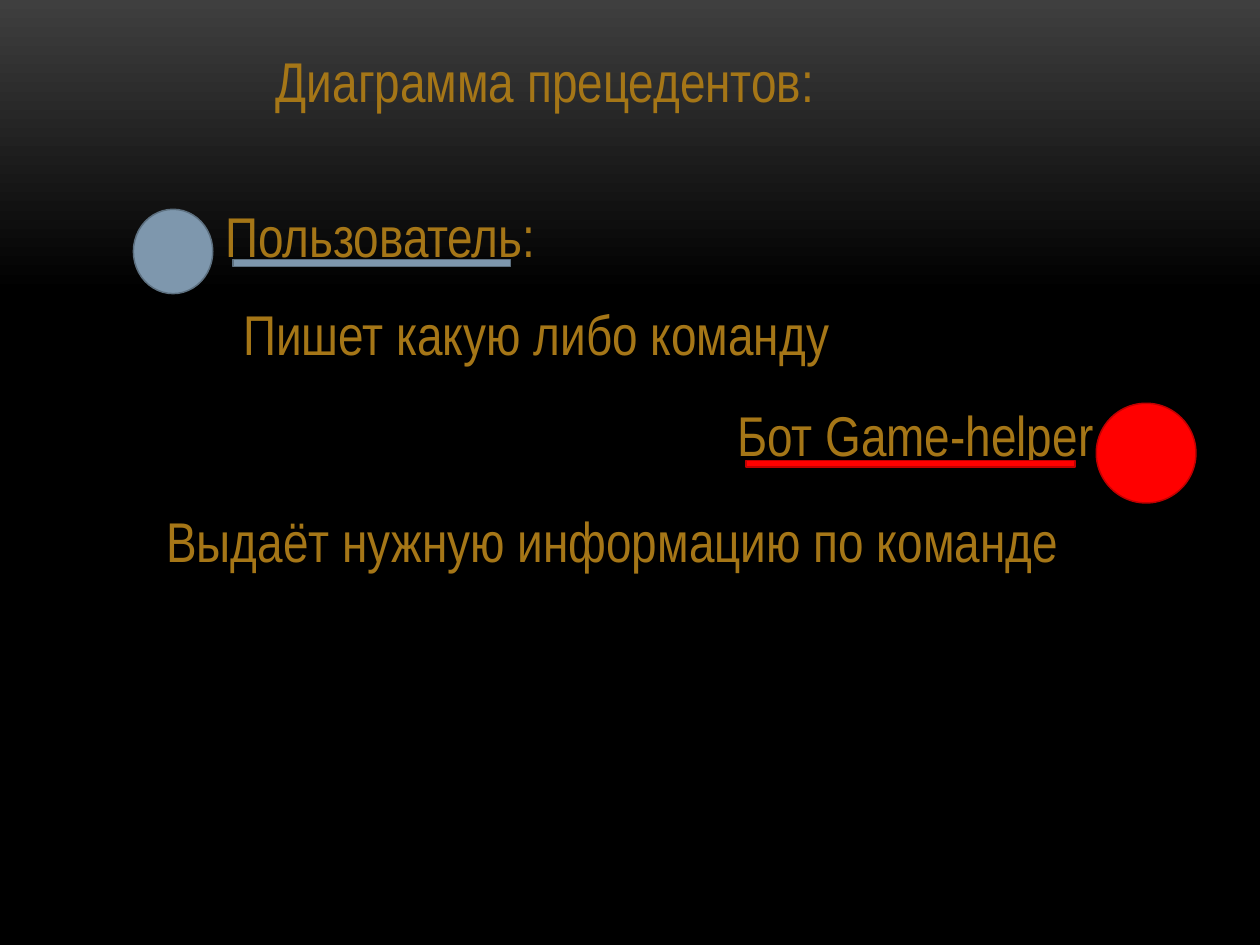
"""Build the use-case slide showing a user and a helper bot."""
from dataclasses import dataclass

import pptx
import pptx.dml.color
import pptx.enum.shapes
import pptx.enum.text
import pptx.slide
import pptx.util

Cm = pptx.util.Cm
Pt = pptx.util.Pt
RGB = pptx.dml.color.RGBColor
Preset = pptx.enum.shapes.MSO_SHAPE


@dataclass(frozen=True)
class Theme:
    font: str = "Arial Narrow"
    text_size: float = 32
    outline: float = 0.85
    text: str = "A57617"
    backdrop_top: str = "3F3F3F"
    backdrop: str = "000000"
    user: tuple[str, str] = ("7E97AD", "5D7080")
    bot: tuple[str, str] = ("FF0000", "C00000")


@dataclass(frozen=True)
class Caption:
    text: str
    left: float
    top: float
    width: float
    wrap: bool = False
    height: float = 1.63


@dataclass(frozen=True)
class Mark:
    preset: Preset
    colors: tuple[str, str]
    left: float
    top: float
    width: float
    height: float


THEME = Theme()
ELEMENTS: list[Caption | Mark] = [
    Caption("Диаграмма прецедентов:", 5.31, 0.81, 18.01, wrap=True),
    Caption("Пользователь:", 4.29, 3.94, 6.93),
    Mark(Preset.OVAL, THEME.user, 2.69, 4.22, 1.6, 1.7),
    Mark(Preset.RECTANGLE, THEME.user, 4.7, 5.23, 5.59, 0.14),
    Caption("Пишет какую либо команду", 4.65, 5.92, 12.67),
    Mark(Preset.OVAL, THEME.bot, 22.1, 8.13, 2.01, 2.01),
    Caption("Бот Game-helper", 14.61, 7.95, 7.75),
    Mark(Preset.RECTANGLE, THEME.bot, 15.04, 9.28, 6.63, 0.14),
    Caption("Выдаёт нужную информацию по команде", 3.1, 10.08, 18.64),
]


def paint_background(slide: pptx.slide.Slide) -> None:
    fill = slide.background.fill
    fill.gradient()
    fill.gradient_angle = 270
    stops = ((0, THEME.backdrop_top), (0.31, THEME.backdrop))
    for stop, (position, color) in zip(fill.gradient_stops, stops):
        stop.position = position
        stop.color.rgb = RGB.from_string(color)


def draw_caption(slide: pptx.slide.Slide, caption: Caption) -> None:
    box = slide.shapes.add_textbox(
        Cm(caption.left), Cm(caption.top), Cm(caption.width), Cm(caption.height)
    )
    frame = box.text_frame
    frame.word_wrap = caption.wrap
    frame.auto_size = pptx.enum.text.MSO_AUTO_SIZE.SHAPE_TO_FIT_TEXT
    run = frame.paragraphs[0].add_run()
    run.text = caption.text
    run.font.name = THEME.font
    run.font.size = Pt(THEME.text_size)
    run.font.color.rgb = RGB.from_string(THEME.text)


def draw_mark(slide: pptx.slide.Slide, mark: Mark) -> None:
    shape = slide.shapes.add_shape(
        mark.preset, Cm(mark.left), Cm(mark.top), Cm(mark.width), Cm(mark.height)
    )
    fill_color, line_color = mark.colors
    shape.shadow.inherit = False
    shape.fill.solid()
    shape.fill.fore_color.rgb = RGB.from_string(fill_color)
    shape.line.color.rgb = RGB.from_string(line_color)
    shape.line.width = Pt(THEME.outline)


def main() -> None:
    deck = pptx.Presentation()
    deck.slide_width, deck.slide_height = Cm(25.4), Cm(19.05)
    slide = deck.slides.add_slide(deck.slide_layouts[6])
    paint_background(slide)
    for element in ELEMENTS:
        if isinstance(element, Caption):
            draw_caption(slide, element)
        else:
            draw_mark(slide, element)
    deck.save("out.pptx")


if __name__ == "__main__":
    main()
